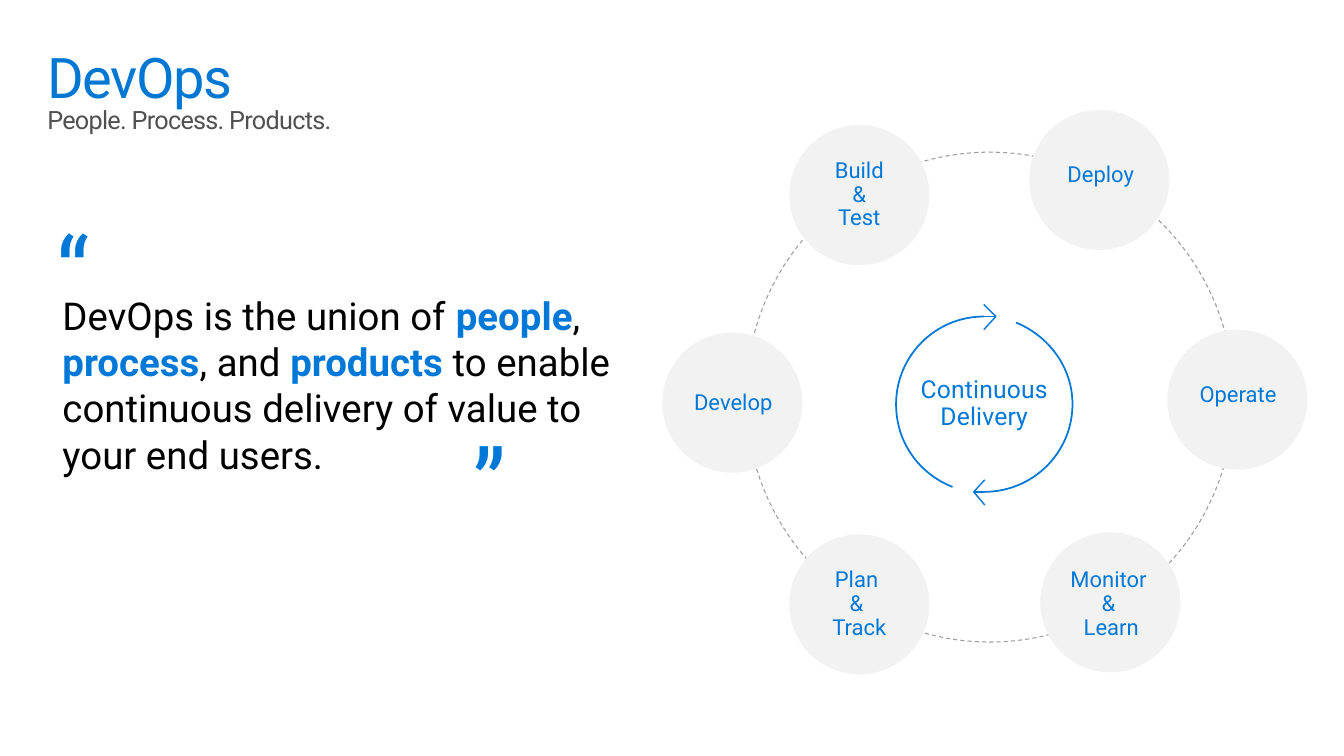
from dataclasses import dataclass
from typing import Optional

from lxml import etree
from pptx import Presentation
from pptx import util as u
from pptx.dml.color import RGBColor
from pptx.enum import dml, shapes, text
from pptx.oxml.ns import qn


@dataclass(frozen=True)
class Theme:
    blue: str = "0078D7"
    title_blue: str = "0078D3"
    grey: str = "505050"
    black: str = "000000"
    disc: str = "F2F2F2"
    ring: str = "9B9BA3"
    font: str = "Roboto"
    slab: str = "Roboto Slab"
    title: float = 40
    subtitle: float = 18
    quote: float = 27.45
    mark: float = 62.7
    centre: float = 17.6
    label: float = 15.7


@dataclass(frozen=True)
class Box:
    """A place on the grid: columns and rows."""
    left: float
    top: float
    width: float
    height: float


@dataclass(frozen=True)
class Stage:
    """A disc; without a label box its name stands in the disc itself."""
    name: str
    disc_left: float
    disc_top: float
    label: Optional[Box] = None
    centred: bool = True


Points = tuple[tuple[float, float], ...]


@dataclass(frozen=True)
class Arrow:
    """Half of the cycle: a curve with a shaft and a head at its end."""
    curve: Points
    shaft_end: float
    head: Points


THEME = Theme()
ROWS = 75
HEIGHT = u.Inches(7.5)
WIDTH = HEIGHT * 16 // 9
CELL = HEIGHT / ROWS  # square cells
DISC = 13.9
LABEL_INSETS = (2, 1.6, 2, 1.6)

STAGES = [
    Stage("Build\n& Test", 78.3, 12.4),
    Stage("Deploy", 102.1, 10.9, Box(103.9, 15, 10.8, 5.5), centred=False),
    Stage("Operate", 115.8, 32.7, Box(117, 36.9, 11.8, 5.5), centred=False),
    Stage("Monitor \n& \nLearn", 103.2, 52.8, Box(103.9, 54.8, 12.7, 10.3)),
    Stage("Plan \n& \nTrack", 78.3, 53, Box(78.9, 54.8, 12.7, 10.3)),
    Stage("Develop", 65.7, 33, Box(66.4, 37.2, 12.7, 5.5)),
]
ARROWS = [
    Arrow(((100.8, 32), (104, 33.3), (106.4, 36.4), (106.4, 40.1),
           (106.4, 44.9), (102.5, 48.8), (97.6, 48.8)),
          96.6, ((97.7, 47.6), (96.6, 48.8), (97.7, 50.1))),
    Arrow(((94.5, 48.3), (91.2, 47), (88.9, 43.9), (88.9, 40.1),
           (88.9, 35.3), (92.8, 31.4), (97.6, 31.4)),
          98.7, ((97.6, 32.7), (98.8, 31.4), (97.6, 30.2))),
]
QUOTE = [
    ("DevOps is the union of ", False), ("people", True), (", ", False),
    ("process", True), (", and ", False), ("products", True),
    (" to enable continuous delivery of value to your end users.", False),
]


def cells(count: float) -> int:
    return round(count * CELL)


def place(box: Box) -> tuple[int, ...]:
    return tuple(cells(n) for n in (box.left, box.top, box.width, box.height))


def colour(value: str) -> RGBColor:
    return RGBColor.from_string(value)


def add_run(paragraph, words: str, size: float, color: str, font: str = THEME.font,
            bold: bool = False, spacing: float = 0) -> None:
    run = paragraph.add_run()
    run.text = words
    run.font.name, run.font.size, run.font.bold = font, u.Pt(size), bold
    run.font.color.rgb = colour(color)
    if spacing:
        run._r.get_or_add_rPr().set("spc", str(round(spacing * 100)))


def write(shape, words: str, insets=(0, 0, 0, 0), wrap: bool = True, centred: bool = False,
          middle: bool = False, line_spacing: float = 1, **format):
    """Fill a shape with text; each newline is a line break."""
    frame = shape.text_frame
    frame.word_wrap = wrap
    fit = text.MSO_AUTO_SIZE
    frame.auto_size = fit.NONE if wrap else fit.SHAPE_TO_FIT_TEXT
    (frame.margin_left, frame.margin_top,
     frame.margin_right, frame.margin_bottom) = map(cells, insets)
    anchors = text.MSO_ANCHOR
    frame.vertical_anchor = anchors.MIDDLE if middle else anchors.TOP
    paragraph = frame.paragraphs[0]
    paragraph.alignment = text.PP_ALIGN.CENTER if centred else text.PP_ALIGN.LEFT
    paragraph.line_spacing = line_spacing
    for number, line in enumerate(words.split("\n") if words else []):
        if number:
            paragraph.add_line_break()
        add_run(paragraph, line, **format)
    return paragraph


def add_text(slide, words: str, box: Box, **format):
    return write(slide.shapes.add_textbox(*place(box)), words, **format)


def add_circle(slide, box: Box, fill: str = ""):
    shape = slide.shapes.add_shape(shapes.MSO_SHAPE.OVAL, *place(box))
    shape.shadow.inherit = False
    shape.line.fill.background()
    if fill:
        shape.fill.solid()
        shape.fill.fore_color.rgb = colour(fill)
    else:
        shape.fill.background()
    return shape


def style_line(shape, color: str, width: float) -> None:
    shape.line.color.rgb = colour(color)
    shape.line.width = u.Pt(width)


def add_outline(slide, points: Points, width: float, curved: bool = False) -> None:
    """Draw an open outline; if curved, each three points make a Bézier segment."""
    start, *rest = [(cells(x), cells(y)) for x, y in points]
    builder = slide.shapes.build_freeform(*start)
    builder.add_line_segments(rest, close=False)
    shape = builder.convert_to_shape()
    shape.shadow.inherit = False
    shape.fill.background()
    style_line(shape, THEME.blue, width)
    if curved:
        lines = list(shape._element.iter(qn("a:lnTo")))
        outline = lines[0].getparent()
        for first in range(0, len(lines), 3):
            segment = etree.SubElement(outline, qn("a:cubicBezTo"))
            for line in lines[first:first + 3]:
                segment.append(line[0])
                outline.remove(line)


def add_arrow(slide, arrow: Arrow) -> None:
    add_outline(slide, arrow.curve, 1.25, curved=True)
    add_outline(slide, arrow.head, 1)
    column, row = map(cells, arrow.curve[-1])
    shaft = slide.shapes.add_connector(shapes.MSO_CONNECTOR.STRAIGHT, column, row,
                                       cells(arrow.shaft_end), row)
    style_line(shaft, THEME.blue, 1)
    etree.SubElement(shaft._element.spPr, qn("a:effectLst"))


def add_stage(slide, stage: Stage) -> None:
    disc = add_circle(slide, Box(stage.disc_left, stage.disc_top, DISC, DISC), THEME.disc)
    holder = slide.shapes.add_textbox(*place(stage.label)) if stage.label else disc
    write(holder, stage.name, insets=LABEL_INSETS, wrap=stage.centred, centred=stage.centred,
          middle=holder is disc, line_spacing=0.9, size=THEME.label, color=THEME.blue)


def main() -> None:
    presentation = Presentation()
    presentation.slide_width, presentation.slide_height = WIDTH, HEIGHT
    slide = presentation.slides.add_slide(presentation.slide_layouts[6])

    # Heading
    add_text(slide, "People. Process. Products.", Box(4.7, 10.35, 124, 3),
             size=THEME.subtitle, color=THEME.grey, spacing=-0.5)
    add_text(slide, "DevOps", Box(4.7, 2.4, 124, 8.1), insets=(0, 1.8, 0, 0),
             size=THEME.title, color=THEME.title_blue, spacing=-1)

    # Quotation and its marks
    quote = add_text(slide, "", Box(4.7, 20.7, 58, 42.5), insets=(1.5, 8.3, 2, 1.6))
    for words, strong in QUOTE:
        add_run(quote, words, THEME.quote, THEME.blue if strong else THEME.black, bold=strong)
    for mark, box in (("“", Box(4.7, 20.7, 8.5, 11.8)), ("”", Box(46, 41.7, 8.3, 11.5))):
        add_text(slide, mark, box, insets=(1, 0.5, 1, 0.5), wrap=False, size=THEME.mark,
                 color=THEME.blue, font=THEME.slab, spacing=-0.1)

    # Dashed ring
    ring = add_circle(slide, Box(74, 15.1, 48.4, 48.6))
    style_line(ring, THEME.ring, 0.75)
    ring.line.dash_style = dml.MSO_LINE.DASH

    # Continuous delivery cycle
    add_text(slide, "Continuous\nDelivery", Box(88.6, 34, 18.1, 12.2), centred=True,
             middle=True, line_spacing=0.9, size=THEME.centre, color=THEME.blue, spacing=0.1)
    for arrow in ARROWS:
        add_arrow(slide, arrow)

    # Stages around the ring
    for stage in STAGES:
        add_stage(slide, stage)

    presentation.save("out.pptx")


if __name__ == "__main__":
    main()
